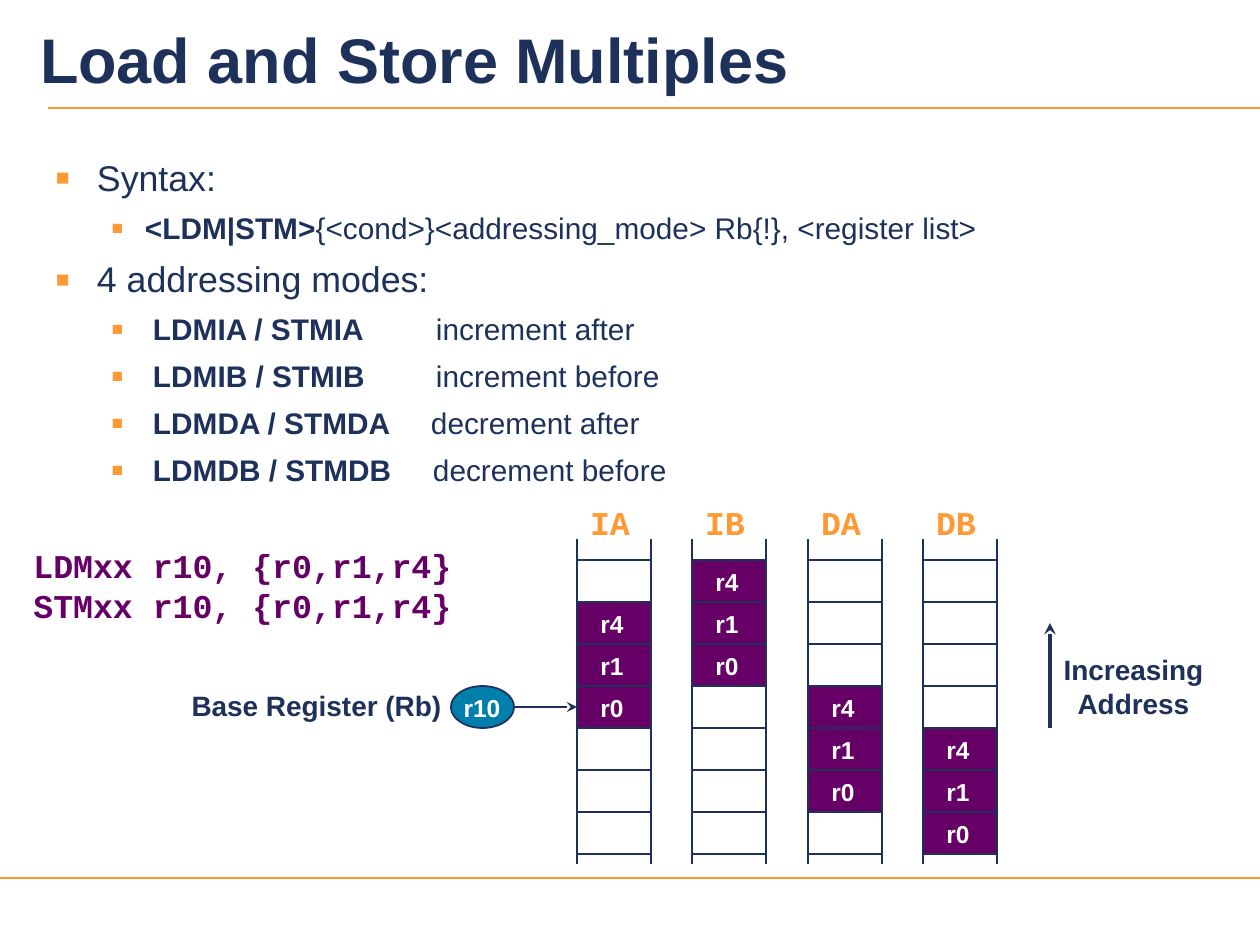
from lxml.etree import SubElement
from pptx import Presentation
from pptx.dml.color import RGBColor
from pptx.enum.shapes import MSO_CONNECTOR as Connector, MSO_SHAPE as Shape
from pptx.enum.text import MSO_ANCHOR as Anchor, PP_ALIGN as Align
from pptx.oxml.ns import qn
from pptx.util import Pt

SCALE = 914400 / 126
NAVY, ORANGE, PURPLE, TEAL, WHITE = "1D315B", "FF9933", "660066", "007FAC", "FFFFFF"
TITLE = {"size": 36, "color": NAVY, "bold": True}
TOPIC = {"size": 20.4, "color": NAVY}
DETAIL = {"size": 17, "color": NAVY}
STRONG = {**DETAIL, "bold": True}
NOTE = {"size": 16, "color": NAVY, "bold": True}
REGISTER = {"size": 14, "color": WHITE, "bold": True}
HEADING = {"size": 19, "color": ORANGE, "bold": True, "name": "Courier New"}
CODE = {**HEADING, "color": PURPLE}
TOPIC_LEVEL = {"margin": 42, "hang": 42, "line": 25}
DETAIL_LEVEL = {"margin": 90, "hang": 34, "line": 20.5}
MODE_LEVEL = {"margin": 98, "hang": 42, "line": 20.5}
MODES = [
    ("LDMIA / STMIA", "increment after", 381),
    ("LDMIB / STMIB", "increment before", 381),
    ("LDMDA / STMDA", "decrement after", 376),
    ("LDMDB / STMDB", "decrement before", 378),
]
STACKS = [("IA", 1), ("IB", 0), ("DA", 3), ("DB", 4)]
REGISTERS = ["r4", "r1", "r0"]
STACK_LEFT, STACK_TOP, STACK_WIDTH, ROW = 577, 560, 74, 42


def px(length):
    """Turn pixels into EMU."""
    return round(length * SCALE)


def rgb(value):
    """Turn a hex string into a colour."""
    return RGBColor.from_string(value)


def add_span(para, text, style):
    """Add one formatted run to a paragraph."""
    span = para.add_run()
    span.text = text
    values = {"name": "Arial", "bold": False, **style}
    span.font.color.rgb = rgb(values.pop("color"))
    values["size"] = Pt(values["size"])
    for key, value in values.items():
        setattr(span.font, key, value)


def format_frame(frame, anchor, wrap, inset=(0, 0)):
    """Set anchor, wrapping and insets of a text frame."""
    across, down = map(px, inset)
    values = {
        "vertical_anchor": anchor, "word_wrap": wrap,
        "margin_left": across, "margin_right": across,
        "margin_top": down, "margin_bottom": down,
    }
    for key, value in values.items():
        setattr(frame, key, value)


def add_label(page, area, text, style):
    """Add centred text, one paragraph to a line."""
    frame = page.shapes.add_textbox(*map(px, area)).text_frame
    format_frame(frame, Anchor.MIDDLE, False)
    for index, line in enumerate(text.split("\n")):
        para = frame.add_paragraph() if index else frame.paragraphs[0]
        para.alignment = Align.CENTER
        add_span(para, line, style)


def add_title(page, text):
    """Add the slide title."""
    frame = page.shapes.add_textbox(*map(px, (29, 0, 1231, 116))).text_frame
    format_frame(frame, Anchor.MIDDLE, True, (11, 5))
    add_span(frame.paragraphs[0], text, TITLE)


def add_bullet(para, level, tab=None):
    """Give a paragraph its indent, square bullet and tab stop."""
    para.line_spacing = Pt(level["line"])
    props = para._p.get_or_add_pPr()
    props.set("marL", str(px(level["margin"])))
    props.set("indent", str(-px(level["hang"])))
    color = SubElement(props, qn("a:buClr"))
    SubElement(color, qn("a:srgbClr"), val=ORANGE)
    SubElement(props, qn("a:buSzPct"), val="125000")
    SubElement(props, qn("a:buFont"), typeface="Arial")
    SubElement(props, qn("a:buChar"), char="▪")
    if tab:
        stops = SubElement(props, qn("a:tabLst"))
        SubElement(stops, qn("a:tab"), pos=str(px(tab)), algn="l")


def add_body(page):
    """Add the bulleted syntax and addressing modes."""
    frame = page.shapes.add_textbox(*map(px, (44, 150, 1194, 349))).text_frame
    format_frame(frame, Anchor.TOP, True, (11, 5))
    syntax = "{<cond>}<addressing_mode> Rb{!}, <register list>"
    items = [
        (TOPIC_LEVEL, None, [("Syntax:", TOPIC)]),
        (DETAIL_LEVEL, None, [("<LDM|STM>", STRONG), (syntax, DETAIL)]),
        (TOPIC_LEVEL, None, [("4 addressing modes:", TOPIC)]),
    ]
    for names, meaning, tab in MODES:
        items.append((MODE_LEVEL, tab, [(names + "\t", STRONG), (meaning, DETAIL)]))
    for index, (level, tab, spans) in enumerate(items):
        para = frame.add_paragraph() if index else frame.paragraphs[0]
        if index:
            para.space_before = Pt(6.2)
        add_bullet(para, level, tab)
        for text, style in spans:
            add_span(para, text, style)


def add_line(page, ends, color=NAVY, width=1, arrow=False):
    """Add a straight line, with an arrowhead at its end if asked."""
    line = page.shapes.add_connector(Connector.STRAIGHT, *map(px, ends))
    line.line.color.rgb = rgb(color)
    line.line.width = Pt(width)
    if arrow:
        SubElement(line.line._get_or_add_ln(), qn("a:tailEnd"), type="stealth")
    SubElement(line._element.spPr, qn("a:effectLst"))


def add_block(page, kind, area, fill):
    """Add a filled shape with a thin outline."""
    block = page.shapes.add_shape(kind, *map(px, area))
    block.shadow.inherit = False
    block.fill.solid()
    block.fill.fore_color.rgb = rgb(fill)
    block.line.color.rgb = rgb(NAVY)
    block.line.width = Pt(1)


def add_stack(page, left, name, first_row):
    """Add one memory column with its three stored registers."""
    right = left + STACK_WIDTH
    top = STACK_TOP + first_row * ROW
    add_block(page, Shape.RECTANGLE, (left, top, STACK_WIDTH, len(REGISTERS) * ROW), PURPLE)
    for side in (left, right):
        add_line(page, (side, 539, side, 864))
    for row in range(8):
        level = STACK_TOP + row * ROW
        add_line(page, (left, level, right, level))
    add_label(page, (left + 1, 496, 64, 53), name, HEADING)
    for index, register in enumerate(REGISTERS):
        add_label(page, (left + 11, top + index * ROW, 48, 43), register, REGISTER)


def main():
    """Build the slide and save it."""
    deck = Presentation()
    deck.slide_width, deck.slide_height = px(1260), px(945)
    page = deck.slides.add_slide(deck.slide_layouts[6])
    add_line(page, (48, 108, 1260, 108), ORANGE)
    add_line(page, (0, 878, 1260, 878), ORANGE, 1.5)
    add_title(page, "Load and Store Multiples")
    add_body(page)
    for index, (name, first_row) in enumerate(STACKS):
        add_stack(page, STACK_LEFT + index * 231 // 2, name, first_row)
    add_block(page, Shape.OVAL, (451, 686, 63, 42), TEAL)
    add_label(page, (451, 686, 62, 43), "r10", REGISTER)
    add_line(page, (514, 707, 577, 707), arrow=True)
    add_label(page, (179, 682, 275, 47), "Base Register (Rb)", NOTE)
    add_label(page, (21, 539, 443, 93), "LDMxx r10, {r0,r1,r4}\nSTMxx r10, {r0,r1,r4}", CODE)
    add_line(page, (1050, 728, 1050, 623), width=2.25, arrow=True)
    add_label(page, (1051, 646, 165, 81), "Increasing\nAddress", NOTE)
    deck.save("out.pptx")


if __name__ == "__main__":
    main()
